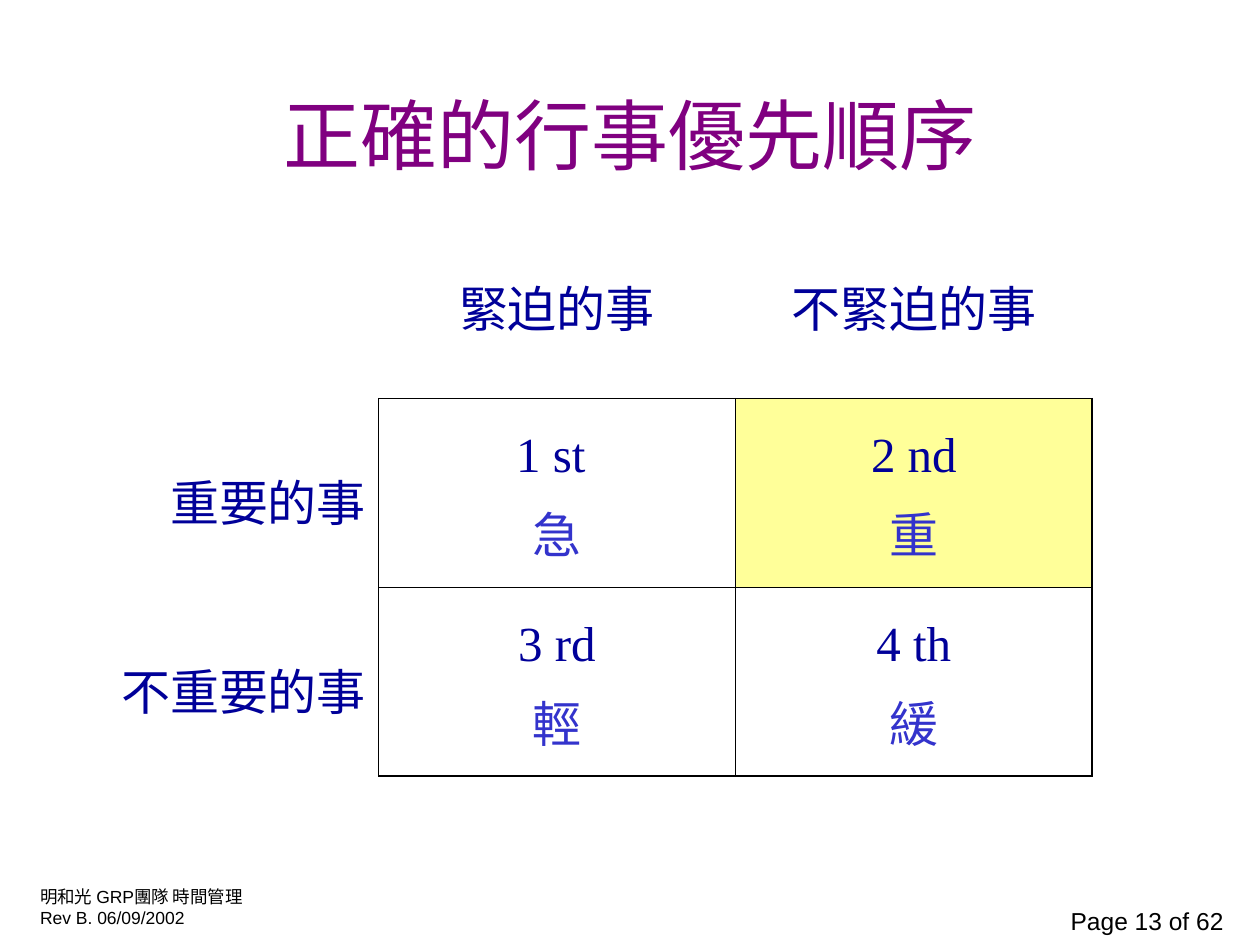
from lxml import etree
from pptx import Presentation
from pptx.dml.color import RGBColor
from pptx.enum.text import MSO_ANCHOR, PP_ALIGN
from pptx.oxml.ns import qn
from pptx.util import Inches, Pt

LEFT, CENTER, RIGHT = PP_ALIGN.LEFT, PP_ALIGN.CENTER, PP_ALIGN.RIGHT
MIDDLE = MSO_ANCHOR.MIDDLE
BLACK = RGBColor(0x00, 0x00, 0x00)
PURPLE = RGBColor(0x80, 0x00, 0x80)
NAVY = RGBColor(0x00, 0x00, 0x99)
BLUE = RGBColor(0x33, 0x33, 0xCC)
YELLOW = RGBColor(0xFF, 0xFF, 0x99)
SERIF, SANS = "Times New Roman", "Arial"
THIN, THICK = Pt(0.45), Pt(1.08)

TITLE = "正確的行事優先順序"
MATRIX = [
    ["", "緊迫的事", "不緊迫的事"],
    ["重要的事", "1 st \n急", "2 nd\n重"],
    ["不重要的事", "3 rd\n輕", "4 th\n緩"],
]
HIGHLIGHT = (1, 2)
FOOTERS = [
    ("明和光 GRP團隊 時間管理\nRev B. 06/09/2002", (0.22, 6.98, 1.88, 0.44), 10, LEFT),
    ("Page 13 of 62", (8.39, 7.14, 1.42, 0.33), 14, RIGHT),
]
TABLE_LEFT, TABLE_TOP, TABLE_WIDTH = 0.17, 1.58, 8.5
ROW_HEIGHTS = [1.58, 1.5, 1.5]


def format_paragraph(paragraph, font_name, size, color, align):
    paragraph.alignment = align
    for run in paragraph.runs:
        run.font.name = font_name
        run.font.size = Pt(size)
        run.font.color.rgb = color


def cell_borders(row, column):
    last = len(MATRIX) - 1
    inside = row > 0 and column > 0
    return {
        "a:lnL": THIN if inside else None,
        "a:lnR": (THICK if column == last else THIN) if row else None,
        "a:lnT": THIN if inside else None,
        "a:lnB": (THICK if row == last else THIN) if column else None,
    }


def draw_borders(cell, borders):
    properties = cell._tc.get_or_add_tcPr()
    for side, width in borders.items():
        line = etree.SubElement(properties, qn(side), w=str(int(width or 0)))
        if width is None:
            etree.SubElement(line, qn("a:noFill"))
        else:
            fill = etree.SubElement(line, qn("a:solidFill"))
            etree.SubElement(fill, qn("a:srgbClr"), val=str(BLACK))


def add_matrix(slide):
    count = len(MATRIX[0])
    table = slide.shapes.add_table(
        len(MATRIX), count, Inches(TABLE_LEFT), Inches(TABLE_TOP),
        Inches(TABLE_WIDTH), Inches(sum(ROW_HEIGHTS))).table
    table.first_row = table.horz_banding = False
    for column in table.columns:
        column.width = Inches(TABLE_WIDTH / count)
    for r, labels in enumerate(MATRIX):
        table.rows[r].height = Inches(ROW_HEIGHTS[r])
        for c, label in enumerate(labels):
            cell = table.cell(r, c)
            cell.vertical_anchor = MIDDLE
            draw_borders(cell, cell_borders(r, c))
            if (r, c) == HIGHLIGHT:
                cell.fill.solid()
                cell.fill.fore_color.rgb = YELLOW
            else:
                cell.fill.background()
            cell.text_frame.text = label
            for paragraph, color in zip(cell.text_frame.paragraphs, (NAVY, BLUE)):
                format_paragraph(paragraph, SERIF, 28, color, CENTER if c else RIGHT)
                paragraph.line_spacing = 1.2


def main():
    deck = Presentation()
    deck.slide_width, deck.slide_height = Inches(10), Inches(7.5)
    slide = deck.slides.add_slide(deck.slide_layouts[5])

    title = slide.shapes.title
    title.left, title.top = Inches(0.75), Inches(0.44)
    title.width, title.height = Inches(8.5), Inches(1.25)
    title.text_frame.text = TITLE
    title.text_frame.vertical_anchor = MIDDLE
    format_paragraph(title.text_frame.paragraphs[0], SERIF, 44, PURPLE, CENTER)

    add_matrix(slide)

    for text, place, size, align in FOOTERS:
        frame = slide.shapes.add_textbox(*map(Inches, place)).text_frame
        frame.word_wrap = False
        frame.text = text
        for paragraph in frame.paragraphs:
            format_paragraph(paragraph, SANS, size, BLACK, align)

    deck.save("out.pptx")


if __name__ == "__main__":
    main()
